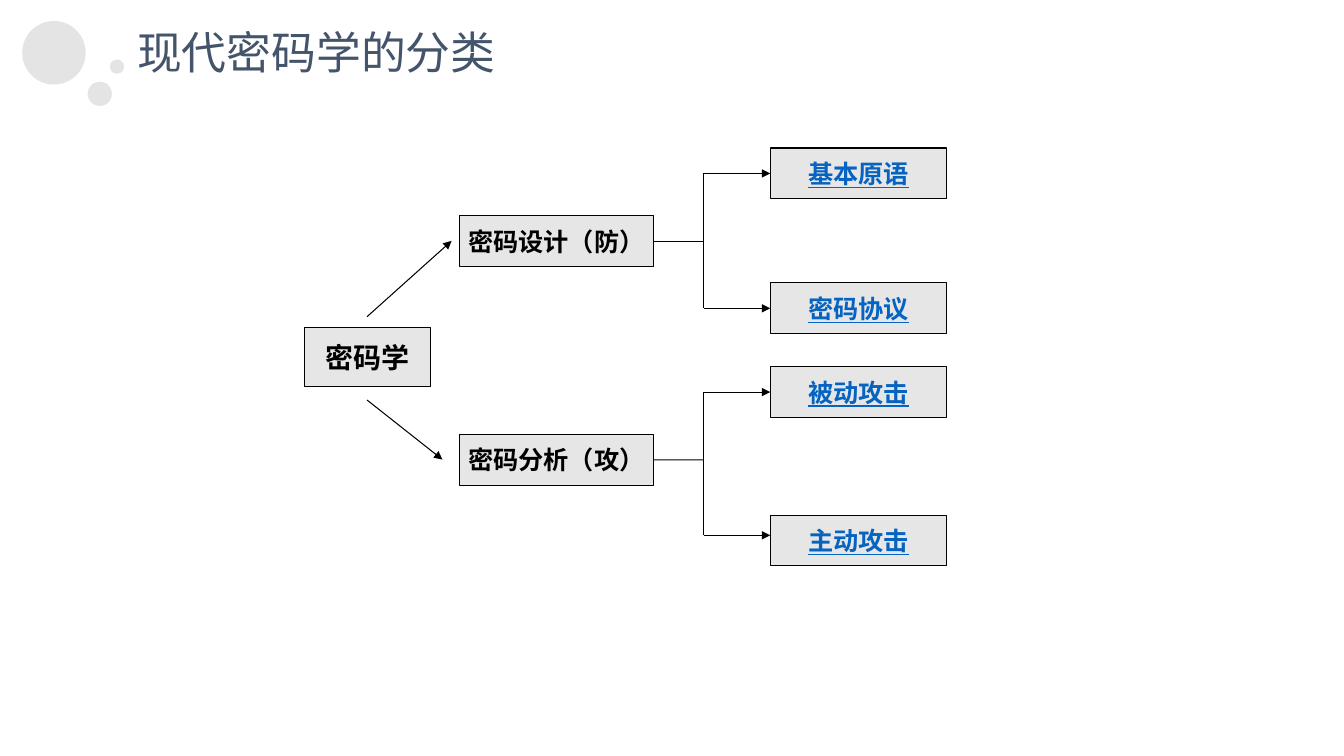
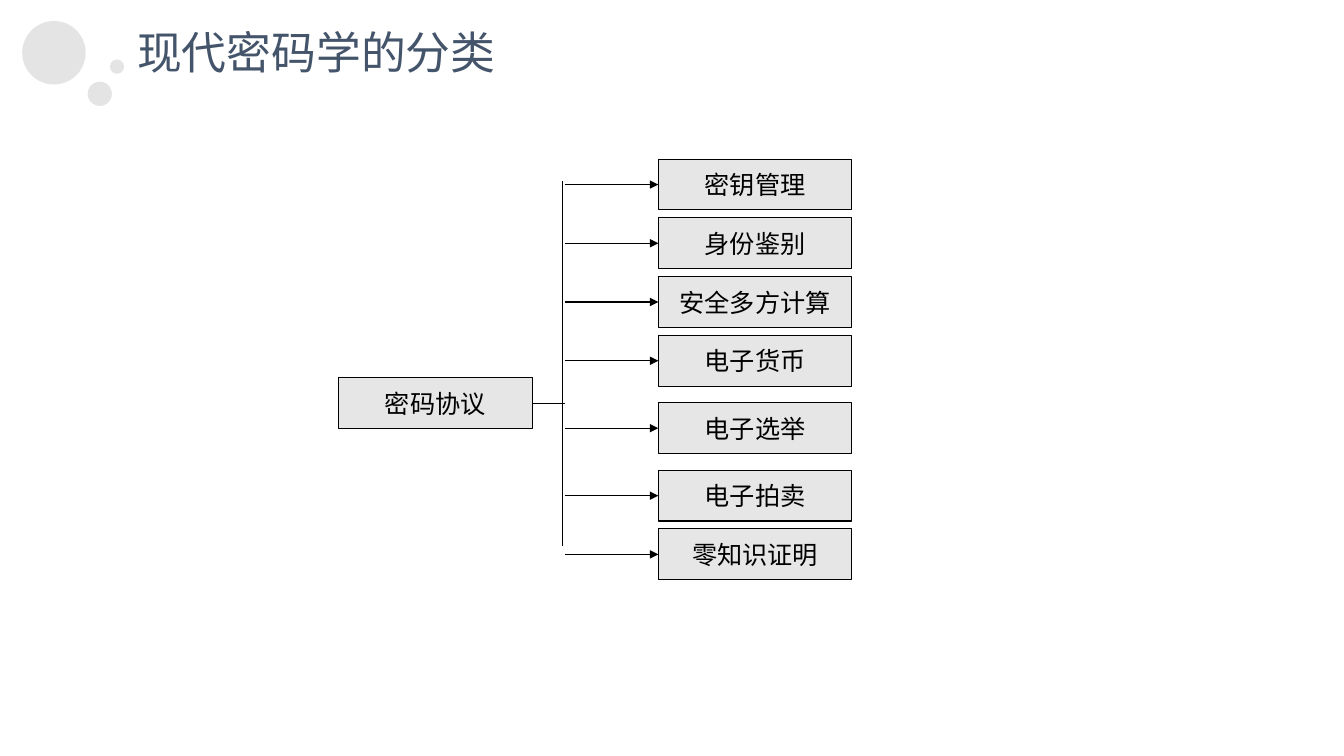
"""Builds two slides that classify modern cryptography as tree diagrams."""
from dataclasses import dataclass
from itertools import accumulate

from lxml.etree import SubElement
from pptx import Presentation
from pptx.dml.color import RGBColor
from pptx.enum.shapes import MSO_CONNECTOR, MSO_SHAPE
from pptx.enum.text import MSO_ANCHOR, MSO_AUTO_SIZE, PP_ALIGN
from pptx.oxml.ns import qn
from pptx.util import Cm, Pt


@dataclass(frozen=True)
class Theme:
    title_color: RGBColor = RGBColor(0x44, 0x54, 0x6A)
    ink: RGBColor = RGBColor(0x00, 0x00, 0x00)
    accent: RGBColor = RGBColor(0x05, 0x63, 0xC1)
    box_fill: RGBColor = RGBColor(0xE7, 0xE6, 0xE6)
    bubble: RGBColor = RGBColor(0xD9, 0xD9, 0xD9)
    bubble_alpha: int = 70000
    title_size: Pt = Pt(32)
    root_size: Pt = Pt(20)
    label_size: Pt = Pt(18)
    rule: Pt = Pt(0.75)
    latin_font: str = "Lato"
    chinese_font: str = "Noto Sans CJK SC"


THEME = Theme()
TITLE = "现代密码学的分类"
BUBBLES = [(0.56, 0.53, 1.6), (2.21, 2.06, 0.61), (2.77, 1.5, 0.36)]

BOX_HEIGHT = 1.28
BRANCH_WIDTH = 4.88

FIELD = "密码学"
FIELD_BOX = (7.67, 9.0, 3.18, 1.47)
BRANCH_LEFT = 11.58
TRUNK_X = 17.73
LEAF_LEFT, LEAF_WIDTH = 19.41, 4.45
BRANCHES = [
    {"label": "密码设计（防）", "y": 6.08,
     "from": (9.25, 7.98), "to": (11.38, 6.07),
     "leaves": [("基本原语", 4.37, 4.37), ("密码协议", 7.77, 7.77)]},
    {"label": "密码分析（攻）", "y": 11.59,
     "from": (9.25, 10.08), "to": (11.15, 11.58),
     "leaves": [("被动攻击", 9.88, 9.88), ("主动攻击", 13.62, 13.49)]},
]

PROTOCOL = "密码协议"
PROTOCOL_LEFT, PROTOCOL_Y = 8.53, 10.16
SPINE_X, SPINE_TOP, SPINE_BOTTOM = 14.17, 4.57, 13.77
ARROW_START, TOPIC_LEFT = 14.25, 16.59
TOPICS = ["密钥管理", "身份鉴别", "安全多方计算", "电子货币",
          "电子选举", "电子拍卖", "零知识证明"]
TOPIC_STEPS = [4.65, 1.48, 1.48, 1.48, 1.7, 1.7, 1.48]


def add_text(paragraph, text, size, color, latin, bold=False, underline=False):
    run = paragraph.add_run()
    run.text = text
    font = run.font
    font.name, font.size, font.bold = latin, size, bold
    font.underline = underline
    font.color.rgb = color
    SubElement(run._r.get_or_add_rPr(), qn("a:ea"), typeface=THEME.chinese_font)


def add_bubbles(slide, layout):
    for left, top, diameter in BUBBLES:
        bubble = slide.shapes.add_shape(MSO_SHAPE.FLOWCHART_CONNECTOR, Cm(left),
                                        Cm(top), Cm(diameter), Cm(diameter))
        bubble.shadow.inherit = False
        bubble.fill.solid()
        bubble.fill.fore_color.rgb = THEME.bubble
        bubble.line.fill.background()
        color = bubble._element.spPr.find(qn("a:solidFill"))[0]
        SubElement(color, qn("a:alpha"), val=str(THEME.bubble_alpha))
        layout.shapes._spTree.append(bubble._element)


def add_titled_slide(deck, layout):
    slide = deck.slides.add_slide(layout)
    title = slide.shapes.title
    title.left, title.top, title.width, title.height = (
        Cm(3.2), Cm(0.66), Cm(9.63), Cm(1.63))
    frame = title.text_frame
    frame.auto_size = MSO_AUTO_SIZE.NONE
    frame.word_wrap = False
    frame.vertical_anchor = MSO_ANCHOR.TOP
    heading = frame.paragraphs[0]
    heading.alignment = PP_ALIGN.LEFT
    heading.line_spacing = 0.9
    add_text(heading, TITLE, THEME.title_size, THEME.title_color,
             THEME.chinese_font)
    return slide


def add_box(slide, text, left, middle, width, height=BOX_HEIGHT,
            size=THEME.label_size, color=THEME.ink, **style):
    box = slide.shapes.add_shape(MSO_SHAPE.RECTANGLE, Cm(left),
                                 Cm(middle - height / 2), Cm(width), Cm(height))
    box.shadow.inherit = False
    box.fill.solid()
    box.fill.fore_color.rgb = THEME.box_fill
    box.line.color.rgb = THEME.ink
    box.line.width = THEME.rule
    frame = box.text_frame
    frame.word_wrap = False
    frame.vertical_anchor = MSO_ANCHOR.MIDDLE
    label = frame.paragraphs[0]
    label.alignment = PP_ALIGN.CENTER
    add_text(label, text, size, color, THEME.latin_font, **style)
    return box


def add_line(slide, start, end, arrow=False, source=None, target=None):
    line = slide.shapes.add_connector(MSO_CONNECTOR.STRAIGHT,
                                      *map(Cm, (*start, *end)))
    line.line.color.rgb = THEME.ink
    line.line.width = THEME.rule
    if arrow:
        SubElement(line.line._get_or_add_ln(), qn("a:tailEnd"), type="triangle")
    SubElement(line._element.spPr, qn("a:effectLst"))
    if source is not None:
        line.begin_connect(source, 3)
    if target is not None:
        line.end_connect(target, 1)


def draw_classification(slide):
    add_box(slide, FIELD, *FIELD_BOX, size=THEME.root_size, bold=True)
    for branch in BRANCHES:
        middle, leaves = branch["y"], branch["leaves"]
        branch_box = add_box(slide, branch["label"], BRANCH_LEFT, middle,
                             BRANCH_WIDTH, bold=True)
        add_line(slide, branch["from"], branch["to"], arrow=True)
        add_line(slide, (BRANCH_LEFT + BRANCH_WIDTH, middle),
                 (TRUNK_X, middle), source=branch_box)
        add_line(slide, (TRUNK_X, leaves[0][2]), (TRUNK_X, leaves[-1][2]))
        for text, leaf_y, arrow_y in leaves:
            leaf = add_box(slide, text, LEAF_LEFT, leaf_y, LEAF_WIDTH,
                           color=THEME.accent, bold=True, underline=True)
            add_line(slide, (TRUNK_X, arrow_y), (LEAF_LEFT, arrow_y), arrow=True,
                     target=leaf if arrow_y == leaf_y else None)


def draw_protocols(slide):
    protocol = add_box(slide, PROTOCOL, PROTOCOL_LEFT, PROTOCOL_Y, BRANCH_WIDTH)
    add_line(slide, (PROTOCOL_LEFT + BRANCH_WIDTH, PROTOCOL_Y),
             (ARROW_START, PROTOCOL_Y), source=protocol)
    add_line(slide, (SPINE_X, SPINE_TOP), (SPINE_X, SPINE_BOTTOM))
    for text, middle in zip(TOPICS, accumulate(TOPIC_STEPS)):
        topic = add_box(slide, text, TOPIC_LEFT, middle, BRANCH_WIDTH)
        add_line(slide, (ARROW_START, middle), (TOPIC_LEFT, middle),
                 arrow=True, target=topic)


def main():
    deck = Presentation()
    deck.slide_width, deck.slide_height = Cm(33.87), Cm(19.05)
    layout = deck.slide_layouts[5]
    classification = add_titled_slide(deck, layout)
    add_bubbles(classification, layout)
    draw_classification(classification)
    draw_protocols(add_titled_slide(deck, layout))
    deck.save("out.pptx")


if __name__ == "__main__":
    main()
